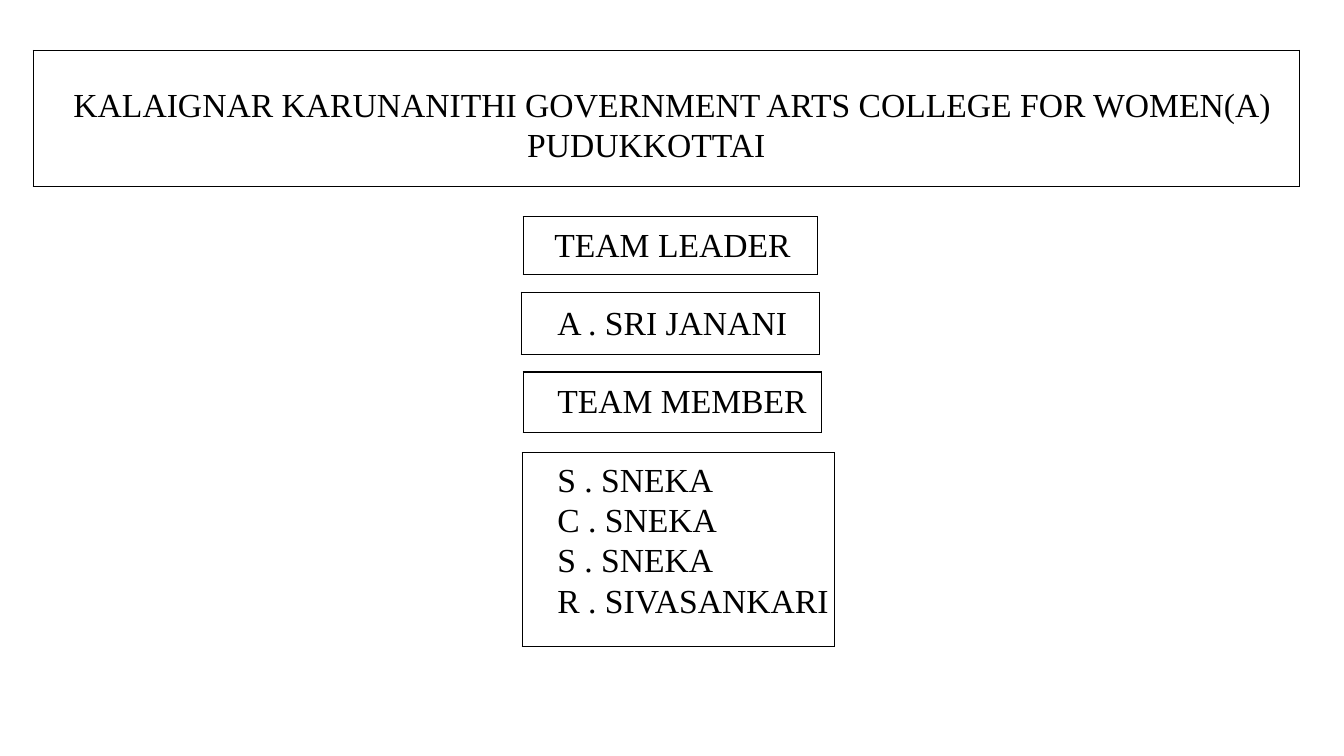
"""Build the college team slide: framed headings and names."""
from lxml import etree
from pptx import Presentation
from pptx import util as u
from pptx.dml import color
from pptx.enum import text
from pptx.oxml import ns

INK = "000000"
FONT = {"name": "Times New Roman", "size": u.Pt(24)}
TEXT_LEFT = 5.43
SECOND_LINE_INDENT = 4.5
LEFT, CENTER = text.PP_ALIGN.LEFT, text.PP_ALIGN.CENTER

LABELS = [
    (["KALAIGNAR KARUNANITHI GOVERNMENT ARTS COLLEGE FOR WOMEN(A)", "PUDUKKOTTAI"],
     (0.63, 0.78, 12.08, 0.91), LEFT, SECOND_LINE_INDENT),
    (["TEAM LEADER"], (4.82, 2.17, 3.7, 0.5), CENTER, 0),
    (["A . SRI JANANI"], (TEXT_LEFT, 2.95, 2.48, 0.5), LEFT, 0),
    (["TEAM MEMBER"], (TEXT_LEFT, 3.72, 2.67, 0.5), LEFT, 0),
    (["S . SNEKA", "C . SNEKA", "S . SNEKA", "R . SIVASANKARI"],
     (TEXT_LEFT, 4.5, 2.89, 1.72), LEFT, 0),
]
FRAMES = [
    (0.33, 0.5, 12.56, 1.35),
    (5.19, 2.15, 2.92, 0.57),
    (5.17, 2.9, 2.96, 0.62),
    (5.19, 3.69, 2.96, 0.6),
    (5.18, 4.49, 3.1, 1.92),
]


def rgb(value):
    """Turn a hex string into a colour."""
    return color.RGBColor.from_string(value)


def inches(box):
    """Turn a box of numbers into lengths."""
    return [u.Inches(length) for length in box]


def add_label(slide, lines, box, alignment, indent):
    """Add a text box with one paragraph per line, indenting the later ones."""
    frame = slide.shapes.add_textbox(*inches(box)).text_frame
    frame.word_wrap = alignment == CENTER
    frame.auto_size = text.MSO_AUTO_SIZE.SHAPE_TO_FIT_TEXT
    for index, line in enumerate(lines):
        paragraph = frame.add_paragraph() if index else frame.paragraphs[0]
        paragraph.alignment = alignment
        if index and indent:
            paragraph._p.get_or_add_pPr().set("marL", str(u.Inches(indent)))
        run = paragraph.add_run()
        run.text = line
        for name, value in FONT.items():
            setattr(run.font, name, value)
        run.font.color.rgb = rgb(INK)


def add_frame(slide, box):
    """Add an empty one-cell table with a thin border."""
    table = slide.shapes.add_table(1, 1, *inches(box)).table
    table.first_row = table.horz_banding = False
    cell = table.cell(0, 0)
    properties = cell._tc.get_or_add_tcPr()
    for side in ("lnL", "lnR", "lnT", "lnB"):
        line = etree.SubElement(properties, ns.qn(f"a:{side}"), w=str(u.Pt(1)))
        fill = etree.SubElement(line, ns.qn("a:solidFill"))
        etree.SubElement(fill, ns.qn("a:srgbClr"), val=INK)
    cell.fill.background()


def main():
    """Build and save the slide."""
    presentation = Presentation()
    presentation.slide_width, presentation.slide_height = inches((13.33, 7.5))
    slide = presentation.slides.add_slide(presentation.slide_layouts[6])
    for label in LABELS:
        add_label(slide, *label)
    for box in FRAMES:
        add_frame(slide, box)
    presentation.save("out.pptx")


if __name__ == "__main__":
    main()
